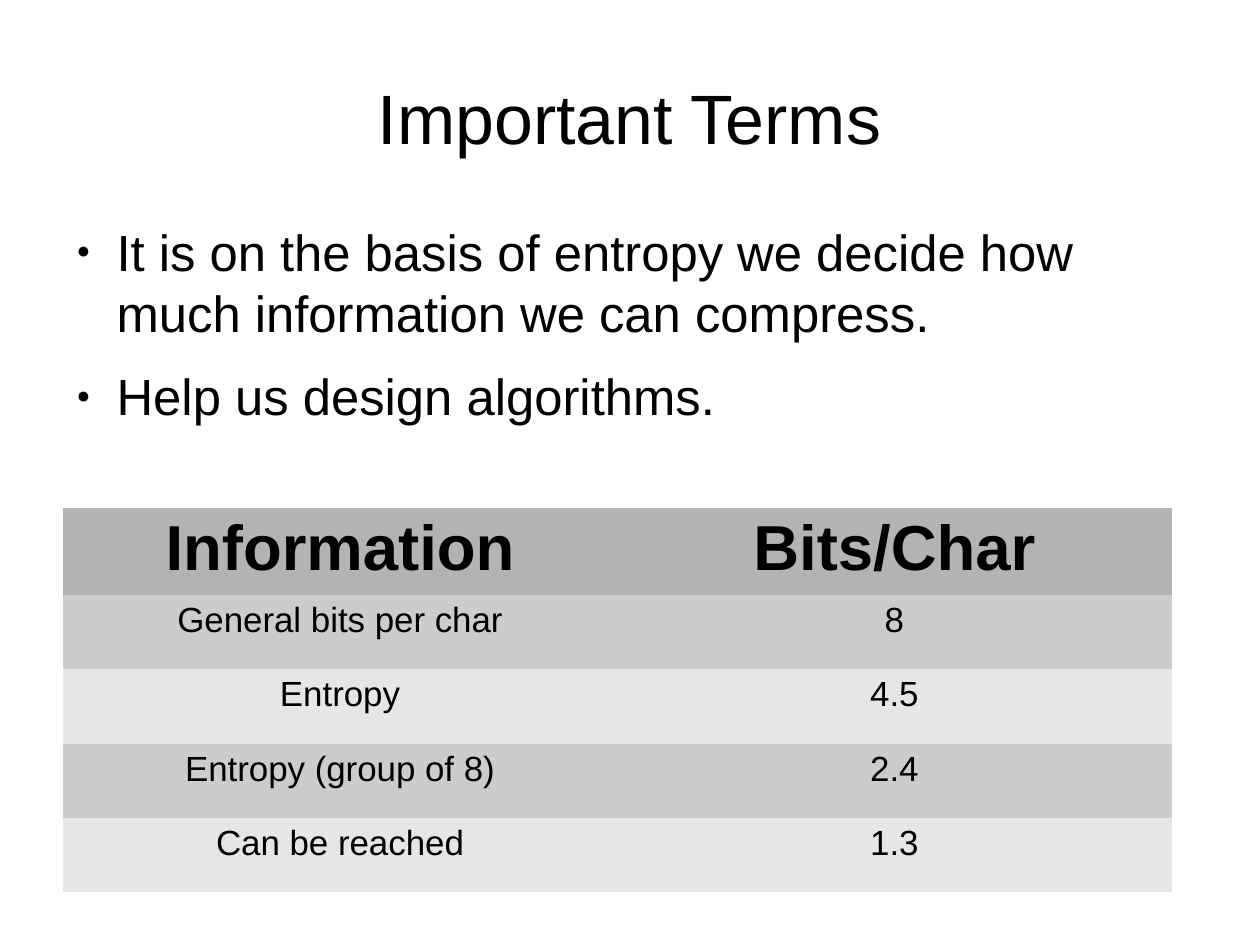
from lxml import etree
from pptx import Presentation
from pptx.dml.color import RGBColor
from pptx.enum.text import MSO_ANCHOR, PP_ALIGN
from pptx.oxml.ns import qn
from pptx.util import Inches, Pt

COLORS = {"text": "000000", "header": "B3B3B3", "dark": "CCCCCC", "light": "E6E6E6"}
LEFT, CONTENT_WIDTH = 0.55, 9.7
CM_PER_INCH = 2.54


def add_text(paragraph, text, size, bold=False):
    run = paragraph.add_run()
    run.text = text
    run.font.name = "Arial"
    run.font.size = Pt(size)
    run.font.bold = bold
    run.font.color.rgb = RGBColor.from_string(COLORS["text"])


def add_frame(slide, top, width, height):
    box = slide.shapes.add_textbox(Inches(LEFT), Inches(top), Inches(width), Inches(height))
    frame = box.text_frame
    frame.word_wrap = True
    frame.margin_left = frame.margin_right = frame.margin_top = frame.margin_bottom = 0
    return frame


# Slide of 28 by 21 cm
prs = Presentation()
prs.slide_width = Inches(28 / CM_PER_INCH)
prs.slide_height = Inches(21 / CM_PER_INCH)
slide = prs.slides.add_slide(prs.slide_layouts[6])

# Title
title = add_frame(slide, 0.33, 9.92, 1.38)
title.vertical_anchor = MSO_ANCHOR.MIDDLE
title.paragraphs[0].alignment = PP_ALIGN.CENTER
add_text(title.paragraphs[0], "Important Terms", 44)

# Bulleted points
points = [
    "It is on the basis of entropy we decide how much information we can compress.",
    "Help us design algorithms.",
]
body = add_frame(slide, 1.93, CONTENT_WIDTH, 2.29)
for index, point in enumerate(points):
    paragraph = body.add_paragraph() if index else body.paragraphs[0]
    paragraph.space_after = Pt(14.2)
    add_text(paragraph, point, 32)
    properties = paragraph._p.get_or_add_pPr()
    properties.set("marL", str(Inches(0.47)))
    properties.set("indent", str(Inches(-0.35)))
    bullet_color = etree.SubElement(properties, qn("a:buClr"))
    etree.SubElement(bullet_color, qn("a:srgbClr"), val=COLORS["text"])
    etree.SubElement(properties, qn("a:buSzPct"), val="45000")
    etree.SubElement(properties, qn("a:buFont"), typeface="Arial")
    etree.SubElement(properties, qn("a:buChar"), char="●")

# Table of bits per character
rows = [
    ("Information", "Bits/Char"),
    ("General bits per char", "8"),
    ("Entropy", "4.5"),
    ("Entropy (group of 8)", "2.4"),
    ("Can be reached", "1.3"),
]
bits_table = slide.shapes.add_table(
    len(rows), 2, Inches(LEFT), Inches(4.44), Inches(CONTENT_WIDTH), Inches(3.33)
).table
bits_table.horz_banding = False
# Plain table style without grid lines
style_id = bits_table._tbl.tblPr.find(qn("a:tableStyleId"))
style_id.text = "{2D5ABB26-0587-4C30-8999-92F81FD0307C}"
for column in bits_table.columns:
    column.width = Inches(CONTENT_WIDTH / 2)

for row_index, row in enumerate(rows):
    is_header = row_index == 0
    fill = "header" if is_header else "dark" if row_index % 2 else "light"
    bits_table.rows[row_index].height = Inches(0.65)
    for column_index, value in enumerate(row):
        cell = bits_table.cell(row_index, column_index)
        cell.fill.solid()
        cell.fill.fore_color.rgb = RGBColor.from_string(COLORS[fill])
        paragraph = cell.text_frame.paragraphs[0]
        paragraph.alignment = PP_ALIGN.CENTER
        add_text(paragraph, value, 40 if is_header else 22, is_header)

prs.save("out.pptx")
